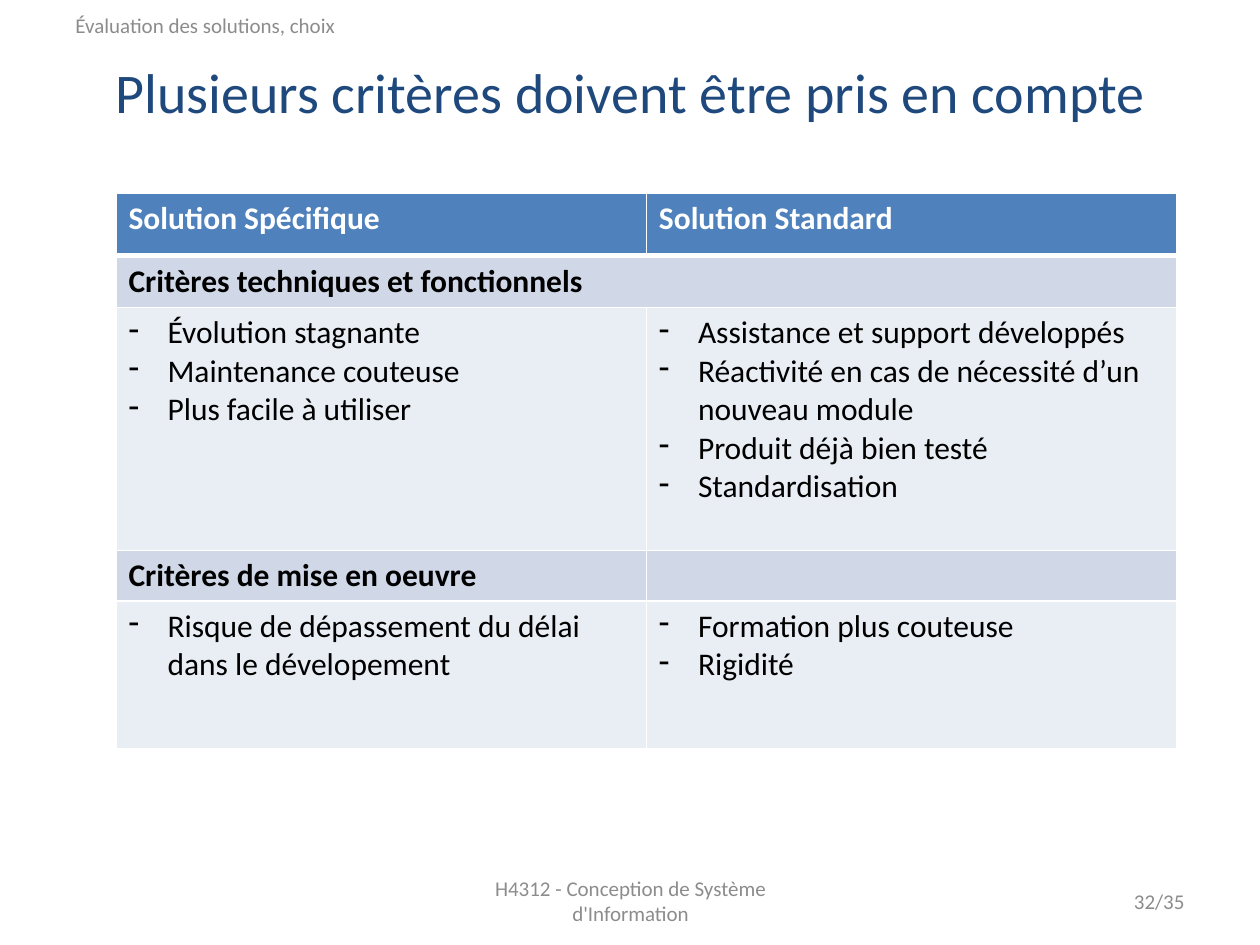
import pptx
import pptx.util
import pptx.dml.color
import pptx.enum.text
import pptx.oxml.ns
from lxml import etree

Inches = pptx.util.Inches
Pt = pptx.util.Pt
ALIGN = pptx.enum.text.PP_ALIGN

FONT = "Calibri"
COLORS = {
    "title": "1F497D",
    "margin_text": "8C8C8C",
    "header": "4F81BD",
    "section": "D0D8E8",
    "criteria": "E9EDF4",
    "white": "FFFFFF",
    "black": "000000",
}
COLUMN_WIDTH = 4.21

# Each row: kind, height, lines of the left and right cells
ROWS = [
    ("header", 0.5, ["Solution Spécifique"], ["Solution Standard"]),
    ("section", 0.41, ["Critères techniques et fonctionnels"], []),
    ("criteria", 1.93,
     ["Évolution stagnante", "Maintenance couteuse", "Plus facile à utiliser"],
     ["Assistance et support développés",
      "Réactivité en cas de nécessité d’un nouveau module",
      "Produit déjà bien testé", "Standardisation"]),
    ("section", 0.4, ["Critères de mise en oeuvre"], []),
    ("criteria", 1.17,
     ["Risque de dépassement du délai dans le dévelopement"],
     ["Formation plus couteuse", "Rigidité"]),
]


def rgb(name):
    return pptx.dml.color.RGBColor.from_string(COLORS[name])


def format_runs(paragraph, size, color, bold=False):
    for run in paragraph.runs:
        run.font.name = FONT
        run.font.size = Pt(size)
        run.font.bold = bold
        run.font.color.rgb = rgb(color)


def add_text(slide, text, left, top, width, height, size, color, align):
    box = slide.shapes.add_textbox(
        Inches(left), Inches(top), Inches(width), Inches(height))
    frame = box.text_frame
    frame.word_wrap = True
    frame.vertical_anchor = pptx.enum.text.MSO_ANCHOR.MIDDLE
    frame.text = text
    frame.paragraphs[0].alignment = align
    format_runs(frame.paragraphs[0], size, color)
    return frame


def add_dash(paragraph):
    properties = paragraph._p.get_or_add_pPr()
    properties.set("marL", str(Inches(0.31)))
    properties.set("indent", str(-Inches(0.31)))
    bullet = etree.SubElement(properties, pptx.oxml.ns.qn("a:buChar"))
    bullet.set("char", "-")


def set_borders(cell, top, bottom):
    properties = cell._tc.get_or_add_tcPr()
    for side, width in (("L", 1), ("R", 1), ("T", top), ("B", bottom)):
        line = etree.SubElement(properties, pptx.oxml.ns.qn("a:ln" + side))
        line.set("w", str(Pt(width)))
        fill = etree.SubElement(line, pptx.oxml.ns.qn("a:solidFill"))
        color = etree.SubElement(fill, pptx.oxml.ns.qn("a:srgbClr"))
        color.set("val", COLORS["white"])


def fill_cell(cell, kind, lines):
    cell.fill.solid()
    cell.fill.fore_color.rgb = rgb(kind)
    cell.text_frame.text = "\n".join(lines)
    for paragraph in cell.text_frame.paragraphs:
        format_runs(paragraph, 18, "white" if kind == "header" else "black",
                    bold=kind != "criteria")
        if kind == "criteria":
            add_dash(paragraph)


def add_comparison(slide):
    total_height = sum(row[1] for row in ROWS)
    comparison = slide.shapes.add_table(
        len(ROWS), 2, Inches(0.92), Inches(1.53),
        Inches(2 * COLUMN_WIDTH), Inches(total_height)).table
    comparison.horz_banding = False
    for column in comparison.columns:
        column.width = Inches(COLUMN_WIDTH)
    for index, (kind, height, *sides) in enumerate(ROWS):
        comparison.rows[index].height = Inches(height)
        for side, lines in enumerate(sides):
            cell = comparison.cell(index, side)
            # The line under the header is thicker
            set_borders(cell, 3 if index == 1 else 1, 3 if index == 0 else 1)
            fill_cell(cell, kind, lines)
    # The first section heading runs across both solutions
    comparison.cell(1, 0).merge(comparison.cell(1, 1))


def main():
    deck = pptx.Presentation()
    deck.slide_width, deck.slide_height = Inches(10), Inches(7.5)
    slide = deck.slides.add_slide(deck.slide_layouts[6])

    # Footer and page number
    add_text(slide, "H4312 - Conception de Système d'Information",
             3.42, 6.95, 3.17, 0.4, 12, "margin_text", ALIGN.CENTER)
    add_text(slide, "32/35", 7.17, 6.95, 2.33, 0.4, 12, "margin_text", ALIGN.RIGHT)

    # Title and chapter
    title = add_text(slide, "Plusieurs critères doivent être pris en compte",
                     0.38, 0.37, 9.25, 0.72, 32, "title", ALIGN.CENTER)
    title.margin_left = title.margin_right = title.margin_bottom = 0
    title.margin_top = Inches(0.04)
    title.paragraphs[0].line_spacing = 0.93
    add_text(slide, "Évaluation des solutions, choix",
             0.5, 0, 3.75, 0.4, 12, "margin_text", ALIGN.LEFT)

    # Comparison of the two solutions
    add_comparison(slide)
    deck.save("out.pptx")


if __name__ == "__main__":
    main()
